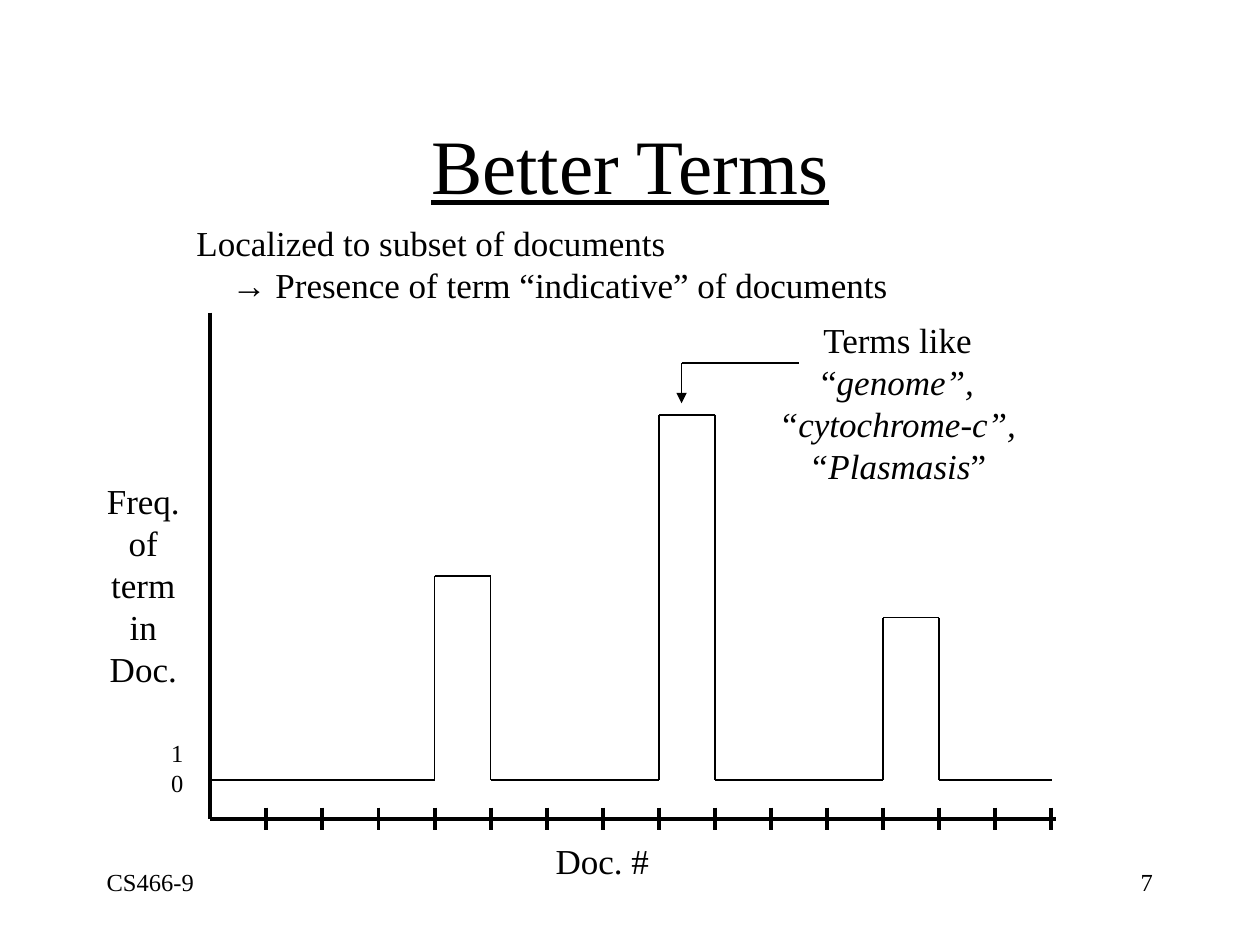
from lxml import etree
from pptx import Presentation
from pptx.dml.color import RGBColor
from pptx.enum import shapes, text
from pptx.oxml.ns import qn
from pptx.util import Cm, Pt

COLORS = {"ink": "000000", "paper": "FFFFFF"}
LEFT, CENTER, RIGHT = text.PP_ALIGN.LEFT, text.PP_ALIGN.CENTER, text.PP_ALIGN.RIGHT


class Deck:
    font = "Times New Roman"
    ink = RGBColor.from_string(COLORS["ink"])

    def __init__(self, prs):
        self.s = prs.slides.add_slide(prs.slide_layouts[5])
        fill = self.s.background.fill
        fill.solid()
        fill.fore_color.rgb = RGBColor.from_string(COLORS["paper"])

    def run(self, p, words, size, italic=False, font=None):
        r = p.add_run()
        r.text = words
        r.font.name = font or self.font
        r.font.size = Pt(size)
        r.font.italic = italic
        r.font.color.rgb = self.ink
        return r

    def title(self, words, x, y, w, h):
        sp = self.s.shapes.title
        sp.left, sp.top, sp.width, sp.height = Cm(x), Cm(y), Cm(w), Cm(h)
        tf = sp.text_frame
        tf.auto_size = text.MSO_AUTO_SIZE.NONE
        tf.vertical_anchor = text.MSO_ANCHOR.MIDDLE
        p = tf.paragraphs[0]
        p.alignment = CENTER
        self.run(p, words, 44).font.underline = True

    def text(self, paragraphs, x, y, w, h, size=20, align=LEFT, wrap=False):
        """Each paragraph is a list of (words, run options)."""
        tf = self.s.shapes.add_textbox(Cm(x), Cm(y), Cm(w), Cm(h)).text_frame
        tf.word_wrap = wrap
        for i, runs in enumerate(paragraphs):
            p = tf.add_paragraph() if i else tf.paragraphs[0]
            p.alignment = align
            for words, options in runs:
                self.run(p, words, size, **options)
        return tf

    def line(self, start, end, width=1, arrow=False):
        x1, y1, x2, y2 = (Cm(v) for v in (*start, *end))
        c = self.s.shapes.add_connector(shapes.MSO_CONNECTOR.STRAIGHT, x1, y1, x2, y2)
        c.line.width = Pt(width)
        c.line.color.rgb = self.ink
        if arrow:
            ln = c.line._get_or_add_ln()
            etree.SubElement(ln, qn("a:tailEnd"), type="triangle")
        etree.SubElement(c._element.spPr, qn("a:effectLst"))

    def polyline(self, points):
        for start, end in zip(points, points[1:]):
            self.line(start, end)


def plain(*lines):
    return [[(words, {})] for words in lines]


def main():
    prs = Presentation()
    prs.slide_width, prs.slide_height = Cm(25.4), Cm(19.05)
    deck = Deck(prs)
    deck.title("Better Terms", 1.9, 1.7, 21.6, 3.18)

    # Axes with one tick per document
    axis_x, axis_y, axis_top, axis_end = 4.24, 16.51, 6.3, 21.29
    ticks = [5.37 + 1.13 * i for i in range(15)]
    deck.line((axis_x, axis_top), (axis_x, axis_y), 2.25)
    deck.line((axis_x, axis_y), (axis_end, axis_y), 2.25)
    for x in ticks:
        deck.line((x, axis_y - 0.23), (x, axis_y + 0.23), 2.25)

    # Frequency profile: peaks between neighbouring ticks
    base = 15.72
    profile = [(axis_x, base)]
    for tick, peak in ((3, 11.61), (7, 8.36), (11, 12.45)):
        left, right = ticks[tick], ticks[tick + 1]
        profile += [(left, base), (left, peak), (right, peak), (right, base)]
    profile.append((21.21, base))
    deck.polyline(profile)

    # Callout to the highest peak
    deck.line((13.74, 7.32), (16.1, 7.32), 0.75)
    deck.line((13.74, 7.32), (13.74, 8.13), 0.75, arrow=True)
    italic = {"italic": True}
    deck.text([[("Terms like", {})],
               [("“", {}), ("genome”,", italic)],
               [("“cytochrome-c”,", italic)],
               [("“Plasmasis", italic), ("”", {})]],
              15.44, 6.3, 5.31, 3.66, align=CENTER)

    # Statement and axis labels
    tf = deck.text([[("Localized to subset of documents", {})],
                    [("→", {"font": "Arial"}),
                     (" Presence of term “indicative” of documents", {})]],
                   3.71, 4.34, 14.45, 1.96)
    tf.paragraphs[1]._p.get_or_add_pPr().set("marL", str(Cm(0.71)))
    deck.text(plain("Freq.", "of", "term", "in", "Doc."),
              1.9, 9.55, 1.98, 4.5, align=CENTER)
    deck.text(plain("1", "0"), 3.2, 14.76, 0.76, 1.45, size=14)
    deck.text(plain("Doc. #"), 10.95, 16.79, 2.39, 1.12)

    # Footer
    for words, x, align in (("CS466-9", 1.9, LEFT), ("7", 18.21, RIGHT)):
        deck.text(plain(words), x, 17.35, 5.28, 1.27, size=14, align=align, wrap=True)

    prs.save("out.pptx")


if __name__ == "__main__":
    main()
